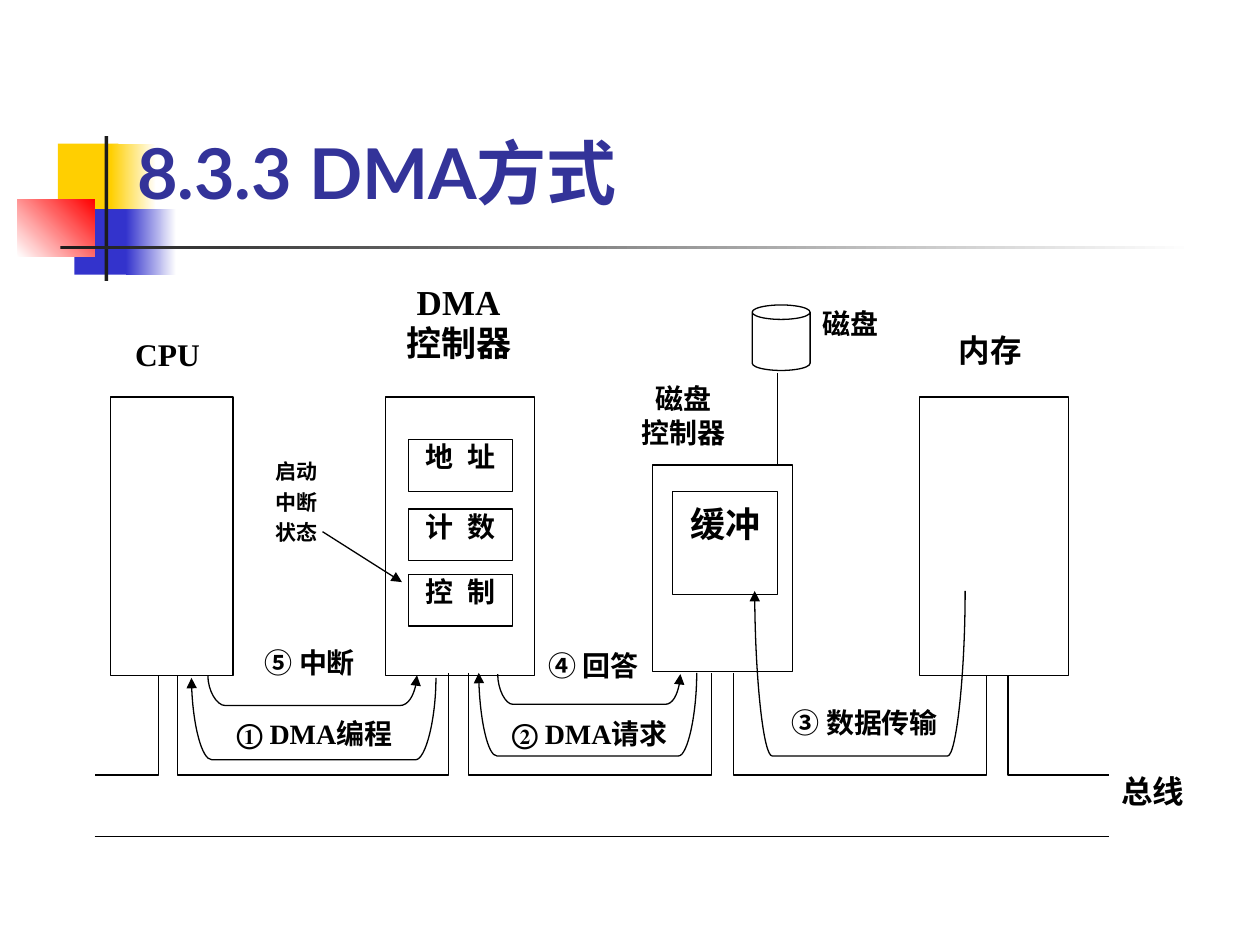
from collections import namedtuple
from lxml.etree import SubElement
from pptx import Presentation
from pptx.dml.color import RGBColor
from pptx.enum.shapes import MSO_CONNECTOR, MSO_SHAPE
from pptx.enum.text import MSO_ANCHOR, PP_ALIGN
from pptx.oxml.ns import qn
from pptx.util import Inches, Pt

COLUMNS, ROWS = 100, 75
WIDTH, HEIGHT = Inches(10), Inches(7.5)
BLACK, WHITE = "000000", "FFFFFF"
SERIF, SANS = "Times New Roman", "Lato"


class Box(namedtuple("Box", "left top width height")):
    def inside(self, left, top, width, height):
        return Box(self.left + left, self.top + top, width, height)

    def point(self, column, row):
        return (round((self.left + column) * WIDTH / COLUMNS),
                round((self.top + row) * HEIGHT / ROWS))

    def frame(self):
        left, top = self.point(0, 0)
        right, bottom = self.point(self.width, self.height)
        return left, top, right - left, bottom - top


def color(value):
    return RGBColor.from_string(value)


def paint(shape, fill=WHITE, line=None):
    shape.shadow.inherit = False
    if fill:
        shape.fill.solid()
        shape.fill.fore_color.rgb = color(fill)
    else:
        shape.fill.background()
    if line:
        shape.line.color.rgb = color(line)
        shape.line.width = Pt(0.75)
    else:
        shape.line.fill.background()
    return shape


def add_block(page, box, fill=WHITE, line=None, kind=MSO_SHAPE.RECTANGLE):
    return paint(page.shapes.add_shape(kind, *box.frame()), fill, line)


def add_fade(page, box, start, finish, angle=0):
    shape = add_block(page, box)
    shape.fill.gradient()
    shape.fill.gradient_angle = angle
    for stop, value in zip(shape.fill.gradient_stops, (start, finish)):
        stop.color.rgb = color(value)


def write(shape, text, size=16, font=SERIF, ink=BLACK, align=PP_ALIGN.CENTER,
          anchor=MSO_ANCHOR.TOP, margins=(0.02, 0.01), line_spacing=None,
          gap=0, tracking=0):
    frame = shape.text_frame
    frame.word_wrap = True
    frame.vertical_anchor = anchor
    frame.margin_left = frame.margin_right = Inches(margins[0])
    frame.margin_top = frame.margin_bottom = Inches(margins[1])
    for index, words in enumerate(text.split("\n")):
        para = frame.add_paragraph() if index else frame.paragraphs[0]
        para.alignment = align
        if line_spacing:
            para.line_spacing = line_spacing
        if index and gap:
            para.space_before = Pt(gap)
        span = para.add_run()
        span.text = words
        span.font.size, span.font.bold, span.font.name = Pt(size), True, font
        span.font.color.rgb = color(ink)
        if tracking:
            span.font._element.set("spc", str(tracking))


def add_label(page, box, text, **form):
    write(add_block(page, box), text, **form)


def add_text(page, box, text, **form):
    write(page.shapes.add_textbox(*box.frame()), text, **form)


def add_arrowhead(shape, end):
    SubElement(shape.line._get_or_add_ln(), qn(f"a:{end}"), type="triangle")


def add_line(page, start, finish):
    line = page.shapes.add_connector(MSO_CONNECTOR.STRAIGHT, *start, *finish)
    line.line.color.rgb = color(BLACK)
    line.line.width = Pt(0.75)
    SubElement(line._element.spPr, qn("a:effectLst"))
    return line


def add_path(page, points, fill=WHITE):
    builder = page.shapes.build_freeform(*points[0], scale=1.0)
    builder.add_line_segments(points[1:], close=False)
    return paint(builder.convert_to_shape(), fill, BLACK)


def add_loop(page, box, end, fill):
    bend, width, height = box.width / 12, box.width, box.height
    half = [(0, 0), (0, height / 2), (bend / 2, height), (bend, height)]
    mirrored = [(width - column, row) for column, row in reversed(half)]
    shape = add_path(page, [box.point(*spot) for spot in half + mirrored], fill)
    segments = list(shape._element.iter(qn("a:lnTo")))
    for group in (segments[:3], segments[4:]):
        curve = group[0].makeelement(qn("a:cubicBezTo"))
        group[0].addprevious(curve)
        for segment in group:
            curve.append(segment[0])
            segment.getparent().remove(segment)
    add_arrowhead(shape, end)


def draw_header(page, box):
    add_block(page, box.inside(4.6, 5.4, 4.8, 5.2), "FFCF01")
    add_fade(page, box.inside(8.8, 5.4, 3.6, 5.2), "FFCF01", WHITE)
    add_block(page, box.inside(5.9, 10.6, 4.6, 5.2), "3333CC")
    add_fade(page, box.inside(10, 10.6, 4, 5.2), "3333CC", WHITE)
    add_fade(page, box.inside(1.4, 9.8, 6.1, 4.6), WHITE, "FF0000", angle=45)
    add_block(page, box.inside(8.3, 4.8, 0.3, 11.5), "1C1C1C")
    add_fade(page, box.inside(4.8, 13.5, 90, 0.3), "1C1C1C", WHITE)
    add_text(page, box.inside(9.9, 0.6, 85, 10.8), "8.3.3 DMA方式", size=40, font=SANS,
             ink="333399", align=PP_ALIGN.LEFT, anchor=MSO_ANCHOR.BOTTOM,
             margins=(0.1, 0.05))


def draw_bus(page, box):
    top, floor, base = 0, 8.1, 13
    add_path(page, [box.point(*spot) for spot in
                    ((5.1, top), (5.1, floor), (0, floor))])
    for left, right, fill in ((6.6, 28.1, WHITE), (29.7, 49, WHITE),
                              (50.7, 70.8, None)):
        add_path(page, [box.point(*spot) for spot in
                        ((left, top), (left, floor), (right, floor), (right, top))],
                 fill)
    add_path(page, [box.point(*spot) for spot in
                    ((72.5, top), (72.5, floor), (box.width, floor))])
    add_line(page, box.point(0, base), box.point(box.width, base))
    add_text(page, box.inside(81.3, 7.8, 7.1, 5.5), "总线", size=18,
             align=PP_ALIGN.JUSTIFY)


def draw_memory(page, box):
    add_label(page, box.inside(1.1, -5.3, 9, 4.6), "内存", size=18)
    add_block(page, box, line=BLACK)


def draw_cpu(page, box):
    add_label(page, box.inside(0.6, -5, 7.8, 4.3), "CPU", size=18)
    add_block(page, box, line=BLACK)


def draw_disk(page, box):
    add_block(page, box.inside(7.9, -12.7, 4.6, 5.2), line=BLACK, kind=MSO_SHAPE.CAN)
    add_line(page, box.point(9.9, -7.3), box.point(9.9, 0))
    add_label(page, box.inside(13.3, -12.7, 6.1, 5.2), "磁盘", align=PP_ALIGN.JUSTIFY)
    add_label(page, box.inside(-1.6, -6.7, 8.1, 6.5), "磁盘\n控制器")
    add_block(page, box, None, BLACK)
    write(add_block(page, box.inside(1.6, 2.1, 8.3, 8.2), line=BLACK), "缓冲",
          size=20, margins=(0.02, 0.09))


def draw_dma_controller(page, box):
    add_label(page, box.inside(1.3, -9, 9, 7.5), "DMA\n控制器", size=20,
              margins=(0.02, 0), line_spacing=0.96)
    add_block(page, box, None, BLACK)
    for row, name in ((3.4, "地 址"), (8.9, "计 数"), (14.1, "控 制")):
        write(add_block(page, box.inside(1.8, row, 8.3, 4.1), line=BLACK), name,
              margins=(0.02, 0), tracking=200)
    add_text(page, box.inside(-9.7, 4.4, 7.1, 7.9), "启动\n中断\n状态", size=12,
             font=SANS, align=PP_ALIGN.LEFT, margins=(0.1, 0.05), gap=3)
    pointer = add_line(page, box.point(-5, 10.7), box.point(1.3, 14.7))
    add_arrowhead(pointer, "tailEnd")


def draw_transfers(page, box):
    transfers = (
        ((15.2, 6.9, 19.4, 6.5), "headEnd", WHITE, (18.3, 9.9, 13.3, 3.2), "① DMA编程"),
        ((16.5, 6.7, 16.6, 2.4), "tailEnd", WHITE, (19.5, 4.2, 10.2, 4), "⑤ 中断"),
        ((38, 6.5, 17.3, 6.6), "headEnd", None, (39.5, 9.9, 14.6, 3), "② DMA请求"),
        ((39.5, 6.6, 14.5, 2.4), "tailEnd", WHITE, (42.6, 4.5, 9, 4), "④ 回答"),
        ((59.9, 0, 16.7, 13.1), "headEnd", None, (62.3, 9, 12.7, 4), "③ 数据传输"),
    )
    for loop, end, fill, place, text in transfers:
        add_loop(page, box.inside(*loop), end, fill)
        add_label(page, box.inside(*place), text)


def main():
    deck = Presentation()
    deck.slide_width, deck.slide_height = WIDTH, HEIGHT
    page = deck.slides.add_slide(deck.slide_layouts[6])
    draw_header(page, Box(0, 6, COLUMNS, 17))
    draw_bus(page, Box(7.5, 53.4, 80.5, 13))
    draw_memory(page, Box(73, 31.5, 11.8, 22.1))
    draw_disk(page, Box(51.8, 36.9, 11.1, 16.4))
    draw_transfers(page, Box(0, 46.9, COLUMNS, 14))
    draw_dma_controller(page, Box(30.6, 31.5, 11.8, 22.1))
    draw_cpu(page, Box(8.8, 31.5, 9.7, 22.1))
    deck.save("out.pptx")


if __name__ == "__main__":
    main()
